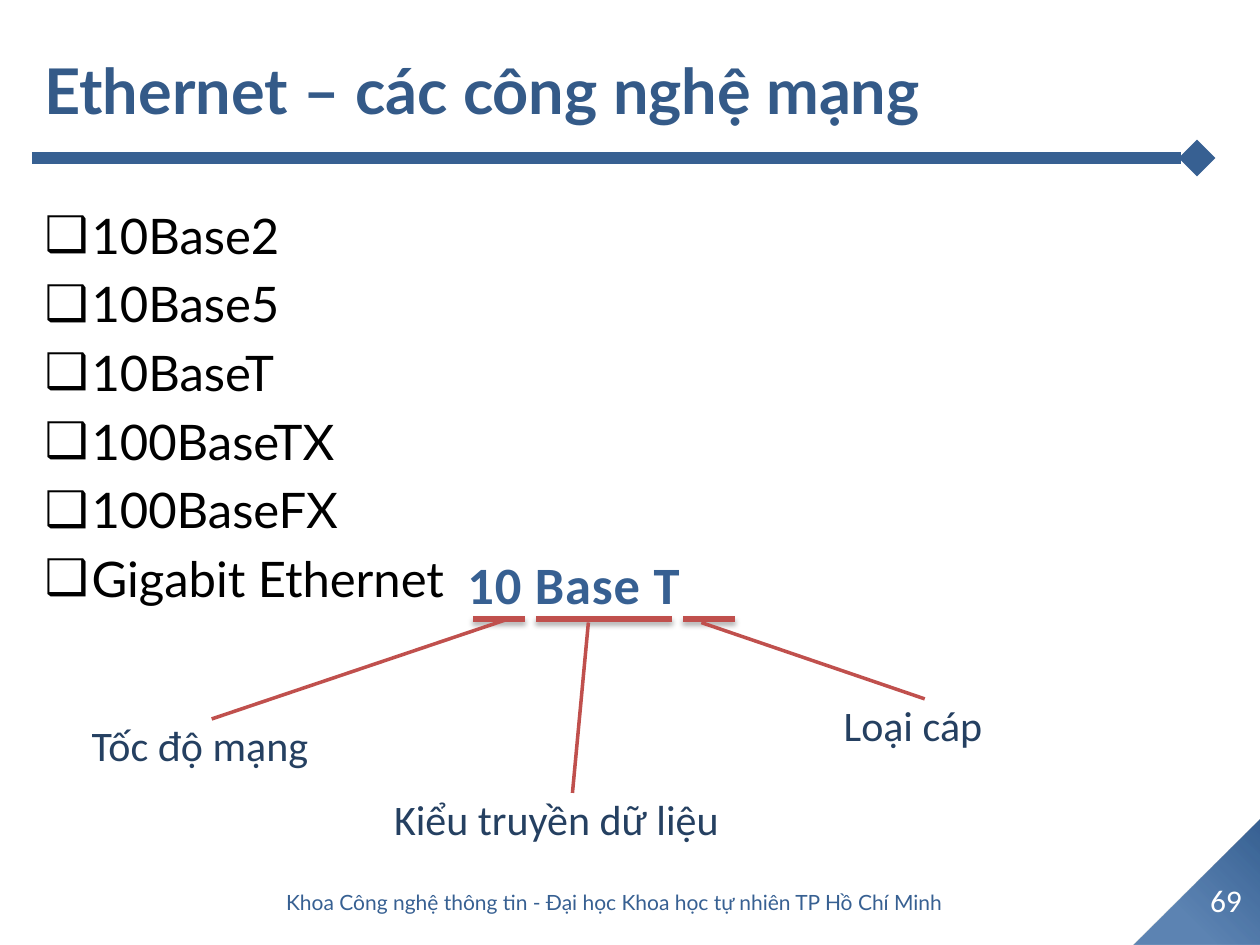
import pptx
import pptx.util
import pptx.dml.color
import pptx.enum.shapes
import pptx.enum.text
import pptx.oxml
import pptx.oxml.ns

RGB = pptx.dml.color.RGBColor
Pt = pptx.util.Pt
SHAPE = pptx.enum.shapes.MSO_SHAPE
ALIGN = pptx.enum.text.PP_ALIGN
ANCHOR = pptx.enum.text.MSO_ANCHOR
AUTO_SIZE = pptx.enum.text.MSO_AUTO_SIZE
NS = pptx.oxml.ns.nsdecls("a")

BLUE = RGB(0x37, 0x60, 0x92)
TITLE_BLUE = RGB(0x34, 0x5A, 0x88)
NAVY = RGB(0x25, 0x40, 0x61)
RED = RGB(0xC0, 0x50, 0x4D)
BLACK = RGB(0, 0, 0)
WHITE = RGB(0xFF, 0xFF, 0xFF)

# Content; every box is left, top, width, height in px.
TITLE = "Ethernet – các công nghệ mạng"
TECHNOLOGIES = ["10Base2", "10Base5", "10BaseT", "100BaseTX", "100BaseFX",
                "Gigabit Ethernet"]
EXAMPLE = "10 Base T"
FOOTER = "Khoa Công nghệ thông tin - Đại học Khoa học tự nhiên TP Hồ Chí Minh"
PAGE = "69"
# Label, its box, the leader's end (y, x) as shares of the box, underline x range.
NAME_PARTS = [
    ("Tốc độ mạng", (53, 703, 294, 84), (-0.99, -0.54), (473, 525)),
    ("Kiểu truyền dữ liệu", (357, 777, 399, 84), (-1.84, 0.42), (536, 672)),
    ("Loại cáp", (766, 683, 294, 84), (-0.72, 1.22), (683, 735)),
]
LEADER_START = (0.19, 0.46)
UNDERLINE_Y = 619

EMU_PER_PX = 914400 / 126


def px(*lengths):
    return [pptx.util.Emu(round(n * EMU_PER_PX)) for n in lengths]


def write(shape, *lines, size, color, font="Calibri", bold=False,
          align=ALIGN.LEFT, anchor=ANCHOR.TOP, wrap=True,
          fit=AUTO_SIZE.NONE, before=0, bullet=None, indent=0, spacing=None):
    frame = shape.text_frame
    frame.word_wrap = wrap
    frame.auto_size = fit
    frame.vertical_anchor = anchor
    for number, line in enumerate(lines):
        paragraph = frame.add_paragraph() if number else frame.paragraphs[0]
        paragraph.alignment = align
        paragraph.space_before = Pt(before)
        if bullet:
            props = paragraph._p.get_or_add_pPr()
            hang = px(indent)[0]
            props.set("marL", str(hang))
            props.set("indent", str(-hang))
            props.append(pptx.oxml.parse_xml(f'<a:buChar {NS} char="{bullet}"/>'))
        run = paragraph.add_run()
        run.text = line
        run.font.size = Pt(size)
        run.font.name = font
        run.font.bold = bold
        run.font.color.rgb = color
        if spacing:
            run._r.get_or_add_rPr().set("spc", str(round(spacing * 100)))


def place(placeholder, box):
    (placeholder.left, placeholder.top,
     placeholder.width, placeholder.height) = px(*box)
    return placeholder


def add_line(slide, start, end, color, width, effect=""):
    line = slide.shapes.add_connector(
        pptx.enum.shapes.MSO_CONNECTOR.STRAIGHT, *px(*start, *end))
    line.line.color.rgb = color
    line.line.width = Pt(width)
    line._element.spPr.append(pptx.oxml.parse_xml(
        f"<a:effectLst {NS}>{effect}</a:effectLst>"))
    return line


def add_corner(slide):
    corner = slide.shapes.add_shape(SHAPE.RIGHT_TRIANGLE, *px(1134, 819, 126, 126))
    corner.rotation = 270
    corner.shadow.inherit = False
    corner.line.fill.background()
    corner.fill.solid()
    solid = corner._element.spPr.find(pptx.oxml.ns.qn("a:solidFill"))
    solid.getparent().replace(solid, pptx.oxml.parse_xml(
        f'<a:gradFill {NS} rotWithShape="1"><a:gsLst>'
        f'<a:gs pos="0"><a:srgbClr val="{BLUE}"/></a:gs>'
        '<a:gs pos="68000"><a:srgbClr val="3D6CA4"><a:alpha val="83000"/>'
        '</a:srgbClr></a:gs></a:gsLst><a:path path="circle">'
        '<a:fillToRect l="100000" b="100000"/></a:path></a:gradFill>'))


def add_title_rule(slide):
    rule = add_line(slide, (32, 158), (1197, 158), BLUE, 7)
    rule.line._get_or_add_ln().append(
        pptx.oxml.parse_xml(f'<a:tailEnd {NS} type="diamond"/>'))


def add_name_part(slide, label, box, leader_end, underline):
    shadow = ('<a:outerShdw blurRad="39370" dist="22860" dir="5400000" '
              'rotWithShape="0"><a:srgbClr val="000000">'
              '<a:alpha val="35000"/></a:srgbClr></a:outerShdw>')
    left, right = underline
    add_line(slide, (left, UNDERLINE_Y), (right, UNDERLINE_Y), RED, 3, shadow)
    callout = slide.shapes.add_shape(SHAPE.LINE_CALLOUT_1_NO_BORDER, *px(*box))
    callout._element.spPr.find(pptx.oxml.ns.qn("a:xfrm")).set("flipH", "1")
    for index, share in enumerate(LEADER_START + leader_end):
        callout.adjustments[index] = share
    callout.shadow.inherit = False
    callout.fill.solid()
    callout.fill.fore_color.rgb = WHITE
    callout.line.color.rgb = RED
    callout.line.width = Pt(2)
    write(callout, label, size=24, color=NAVY, align=ALIGN.CENTER,
          anchor=ANCHOR.MIDDLE)


def main():
    deck = pptx.Presentation()
    deck.slide_width, deck.slide_height = px(1260, 945)
    slide = deck.slides.add_slide(deck.slide_layouts[1])
    title, body = slide.placeholders

    add_corner(slide)
    add_title_rule(slide)
    write(place(title, (32, 10, 1206, 158)), TITLE, size=36, font="Lato",
          color=TITLE_BLUE, bold=True, anchor=ANCHOR.MIDDLE)
    write(place(body, (32, 199, 1187, 672)), *TECHNOLOGIES, size=28,
          font="Lato", color=BLACK, before=5.6, bullet="❑", indent=47)

    example = slide.shapes.add_textbox(*px(455, 546, 281, 77))
    write(example, EXAMPLE, size=30, color=BLUE, bold=True, wrap=False,
          fit=AUTO_SIZE.SHAPE_TO_FIT_TEXT, spacing=0.5)
    for part in NAME_PARTS:
        add_name_part(slide, *part)

    for text, box, style in [
        (PAGE, (1192, 875, 68, 50), dict(size=18, color=WHITE)),
        (FOOTER, (158, 877, 913, 50), dict(size=12, color=BLUE, font="Lato")),
    ]:
        write(slide.shapes.add_textbox(*px(*box)), text, align=ALIGN.CENTER,
              anchor=ANCHOR.MIDDLE, **style)

    deck.save("out.pptx")


if __name__ == "__main__":
    main()
